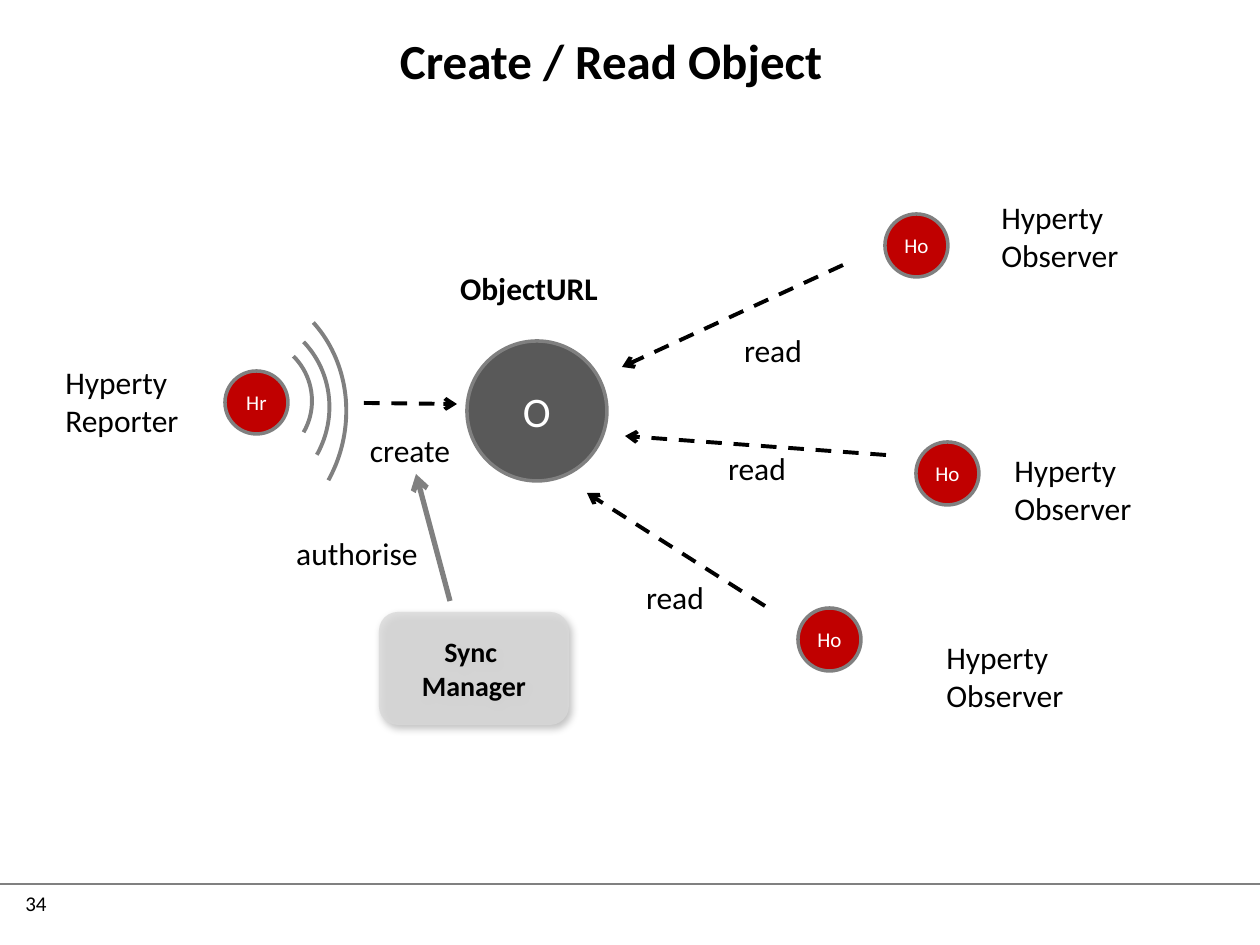
from lxml.etree import SubElement
from pptx import Presentation
from pptx.dml.color import RGBColor
from pptx.enum.dml import MSO_LINE
from pptx.enum.shapes import MSO_CONNECTOR, MSO_SHAPE
from pptx.enum.text import MSO_ANCHOR, PP_ALIGN
from pptx.oxml.ns import qn
from pptx.util import Pt

PX = 914400 / 126
FONT = "Calibri"
BLACK, WHITE, GREY, RED, DARK, LIGHT = (
    "000000", "FFFFFF", "808080", "C00000", "595959", "D9D9D9")

# text, left, top, width, height, size, bold, centred
TITLE = ("Create / Read Object", 115, 24, 992, 66, 28, True, True)
PAGE_NUMBER = ("34", 13, 884, 101, 50, 12, False, False)
OBJECT_URL = ("ObjectURL", 428, 263, 202, 50, 18, True, True)

# text, left, top
ROLES = [
    ("Hyperty Reporter", 53, 357),
    ("Hyperty Observer", 989, 192),
    ("Hyperty Observer", 1002, 445),
    ("Hyperty Observer", 934, 632),
]
ACTIONS = [
    ("create", 331, 425),
    ("read", 694, 325),
    ("read", 678, 443),
    ("read", 596, 572),
    ("authorise", 278, 528),
]

# text, left, top, diameter, fill, size
NODES = [
    ("Hr", 225, 371, 63, RED, 12),
    ("Ho", 885, 214, 63, RED, 12),
    ("Ho", 916, 442, 63, RED, 12),
    ("Ho", 798, 608, 63, RED, 12),
    ("O", 467, 341, 140, DARK, 24),
]
MANAGER = ("Sync \vManager", 379, 612, 190, 113)

# left, top, width, height of the full ellipse behind each wave
WAVES = [(186, 338, 126, 126), (145, 314, 184, 190), (93, 282, 252, 271)]
WAVE_START, WAVE_END, WAVE_TURN = 293.2, 8.27, 21.6

# from x, from y, to x, to y
DASHED_ARROWS = [
    (364, 403, 457, 404),
    (843, 265, 622, 367),
    (886, 455, 625, 436),
    (765, 606, 587, 493),
]
AUTHORISE_ARROW = (450, 601, 416, 474)
FOOTER_LINE = (0, 884, 1260, 884)


def px(*values):
    return [round(v * PX) for v in values]


def rgb(color):
    return RGBColor.from_string(color)


def write(shape, text, size, color=BLACK, bold=False, centred=True):
    tf = shape.text_frame
    tf.text = text
    p = tf.paragraphs[0]
    p.alignment = PP_ALIGN.CENTER if centred else PP_ALIGN.LEFT
    for r in p.runs:
        r.font.name, r.font.size, r.font.bold = FONT, Pt(size), bold
        r.font.color.rgb = rgb(color)
    return tf


def add_text(s, text, x, y, w, h, size, bold, centred):
    box = s.shapes.add_textbox(*px(x, y, w, h))
    write(box, text, size, BLACK, bold, centred).word_wrap = True


def add_shape(s, kind, x, y, w, h, fill=None, line_width=None):
    sp = s.shapes.add_shape(kind, *px(x, y, w, h))
    sp.shadow.inherit = False
    if fill:
        sp.fill.solid()
        sp.fill.fore_color.rgb = rgb(fill)
    else:
        sp.fill.background()
    if line_width:
        sp.line.color.rgb = rgb(GREY)
        sp.line.width = Pt(line_width)
    else:
        sp.line.fill.background()
    return sp


def add_label(sp, text, size, color, bold=False):
    """Write centred text without margins inside a shape."""
    tf = write(sp, text, size, color, bold)
    tf.margin_left = tf.margin_right = tf.margin_top = tf.margin_bottom = 0
    tf.vertical_anchor = MSO_ANCHOR.MIDDLE
    tf.word_wrap = False


def add_line(s, ends, color, width, dashed=False, arrow=True):
    line = s.shapes.add_connector(MSO_CONNECTOR.STRAIGHT, *px(*ends))
    line.line.color.rgb = rgb(color)
    line.line.width = Pt(width)
    if dashed:
        line.line.dash_style = MSO_LINE.DASH
    if arrow:
        SubElement(line.line._get_or_add_ln(), qn("a:tailEnd"), type="arrow")
    SubElement(line._element.spPr, qn("a:effectLst"))


def add_alpha(color_element, percent):
    SubElement(color_element, qn("a:alpha"), val=str(percent * 1000))


def add_manager(s):
    text, *place = MANAGER
    sp = add_shape(s, MSO_SHAPE.ROUNDED_RECTANGLE, *place, LIGHT)
    add_label(sp, text, 16, BLACK, True)
    sp_pr = sp._element.spPr
    add_alpha(sp_pr.find(qn("a:solidFill"))[0], 79)
    shadow = SubElement(sp_pr.find(qn("a:effectLst")), qn("a:outerShdw"),
                        blurRad=str(Pt(4.5)), dist=str(Pt(2.6)),
                        dir=str(53 * 60000), rotWithShape="0")
    add_alpha(SubElement(shadow, qn("a:srgbClr"), val=BLACK), 30)


def main():
    prs = Presentation()
    prs.slide_width, prs.slide_height = px(1260, 945)
    s = prs.slides.add_slide(prs.slide_layouts[6])

    add_line(s, FOOTER_LINE, GREY, 0.75, arrow=False)
    for item in (TITLE, PAGE_NUMBER, OBJECT_URL):
        add_text(s, *item)

    for place in WAVES:
        arc = add_shape(s, MSO_SHAPE.ARC, *place, line_width=2.25)
        # An adjustment unit is 100000, a degree is 60000
        arc.adjustments[0] = WAVE_START * 0.6
        arc.adjustments[1] = WAVE_END * 0.6
        arc.rotation = WAVE_TURN

    for text, x, y, d, fill, size in NODES:
        node = add_shape(s, MSO_SHAPE.OVAL, x, y, d, d, fill, 2)
        add_label(node, text, size, WHITE)
    add_manager(s)

    for ends in DASHED_ARROWS:
        add_line(s, ends, BLACK, 2.25, dashed=True)
    add_line(s, AUTHORISE_ARROW, GREY, 3)

    for text, x, y in ROLES:
        add_text(s, text, x, y, 150, 89, 18, False, False)
    for text, x, y in ACTIONS:
        add_text(s, text, x, y, 158, 50, 18, False, True)

    prs.save("out.pptx")


if __name__ == "__main__":
    main()
